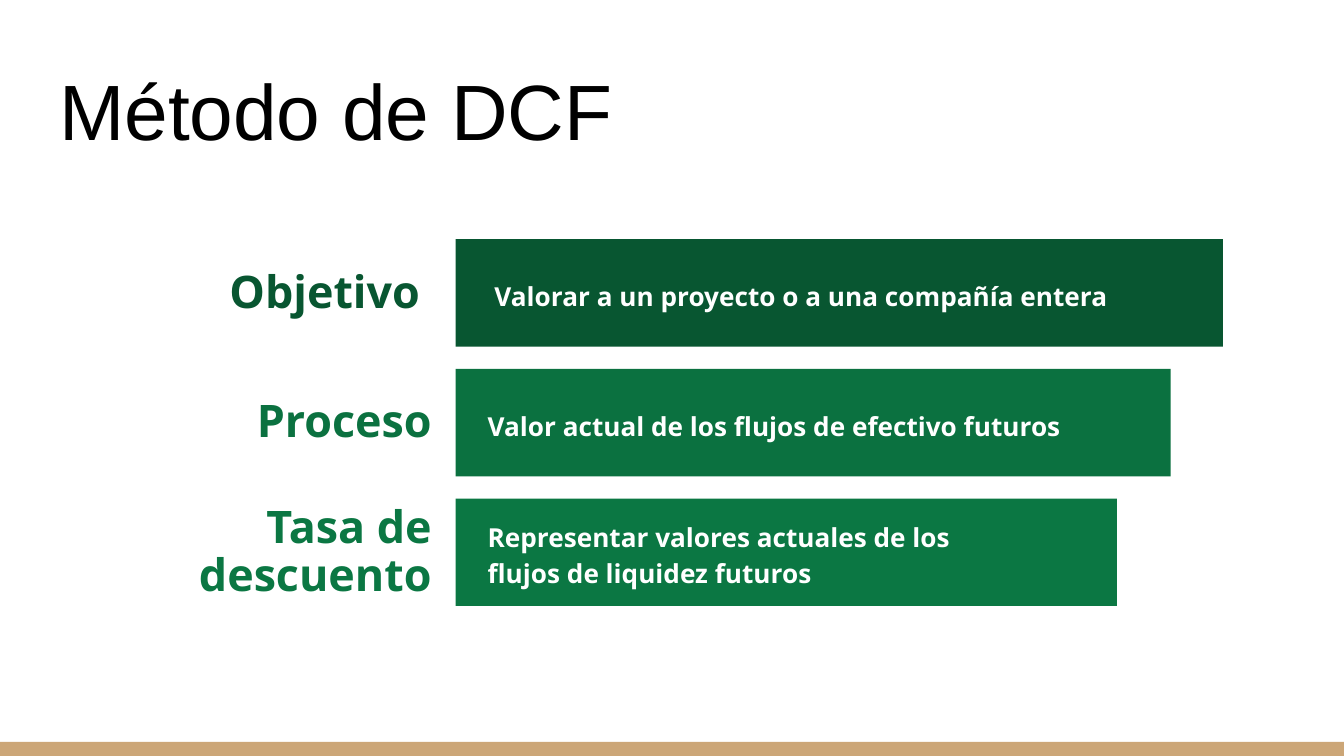
from dataclasses import dataclass

from pptx import Presentation
from pptx.dml.color import RGBColor as Rgb
from pptx.enum.shapes import MSO_SHAPE as Kind
from pptx.enum.text import MSO_ANCHOR as Anchor, MSO_AUTO_SIZE as Fit, PP_ALIGN as Align
from pptx.slide import Slide
from pptx.text.text import TextFrame as Frame
from pptx.util import Inches, Pt


@dataclass(frozen=True)
class Theme:
    """Colours, fonts and type sizes of the slide."""
    ink: str = "000000"
    paper: str = "FFFFFF"
    sand: str = "CCA677"
    head: str = "Arial"
    body: str = "Open Sans"
    big: int = 42
    mid: int = 24
    small: int = 14


@dataclass(frozen=True)
class Row:
    """One label with its bar and note; widths in inches."""
    label: str
    note: str
    color: str
    wide: float
    span: float


THEME = Theme()
ROWS = (
    Row("Objetivo ", " Valorar a un proyecto o a una compañía entera", "085631", 5.71, 5.21),
    Row("Proceso", "Valor actual de los flujos de efectivo futuros", "0B7140", 5.32, 4.78),
    Row("Tasa de descuento", "Representar valores actuales de los flujos de liquidez futuros",
        "0B7743", 4.92, 4.21),
)
TOP, LAST, TALL = 1.78, 3.71, 0.8
STEP = (LAST - TOP) / (len(ROWS) - 1)
EDGE, LEFT = 3.31, 3.39


def write(frame: Frame, text: str, *, size: int, color: str, font: str = THEME.body,
          bold: bool = True, align: Align = Align.LEFT, anchor: Anchor = Anchor.MIDDLE,
          lead: float = 1.0, pad: float = 0.05) -> None:
    """Fill a text frame with one formatted paragraph."""
    frame.word_wrap = True
    frame.auto_size = Fit.NONE
    frame.vertical_anchor = anchor
    frame.margin_left = frame.margin_right = Inches(0.1)
    frame.margin_top = frame.margin_bottom = Inches(pad)
    para = frame.paragraphs[0]
    para.alignment = align
    para.line_spacing = lead
    run = para.add_run()
    run.text = text
    run.font.name = font
    run.font.size = Pt(size)
    run.font.bold = bold
    run.font.color.rgb = Rgb.from_string(color)


def add_bar(slide: Slide, x: float, y: float, w: float, h: float, color: str) -> None:
    """Draw a plain filled rectangle."""
    bar = slide.shapes.add_shape(Kind.RECTANGLE, Inches(x), Inches(y), Inches(w), Inches(h))
    bar.shadow.inherit = False
    bar.fill.solid()
    bar.fill.fore_color.rgb = Rgb.from_string(color)
    bar.line.fill.background()


def add_text(slide: Slide, x: float, y: float, w: float, h: float) -> Frame:
    """Add a text box and return its frame."""
    return slide.shapes.add_textbox(Inches(x), Inches(y), Inches(w), Inches(h)).text_frame


def add_row(slide: Slide, row: Row, y: float) -> None:
    """Draw one label, bar and note."""
    wide = 2.97
    label = add_text(slide, EDGE - wide, y + 0.06, wide, 0.69)
    write(label, row.label, size=THEME.mid, color=row.color, align=Align.RIGHT, lead=0.9)
    add_bar(slide, LEFT, y, row.wide, TALL, row.color)
    note = add_text(slide, LEFT + 0.14, y + 0.09, row.span, 0.63)
    write(note, row.note, size=THEME.small, color=THEME.paper, lead=1.15)


def main() -> None:
    """Build and save the slide."""
    deck = Presentation()
    deck.slide_width = Inches(10)
    deck.slide_height = Inches(10 * 9 / 16)
    slide = deck.slides.add_slide(deck.slide_layouts[5])
    slide.background.fill.solid()
    slide.background.fill.fore_color.rgb = Rgb.from_string(THEME.paper)
    add_bar(slide, 0, 5.52, 10, 0.11, THEME.sand)
    title = slide.shapes.title
    title.left, title.top = Inches(0.34), Inches(0.35)
    title.width, title.height = Inches(9.32), Inches(0.91)
    write(title.text_frame, "Método de DCF", size=THEME.big, color=THEME.ink,
          font=THEME.head, bold=False, anchor=Anchor.BOTTOM, pad=0.1)
    for i, row in enumerate(ROWS):
        add_row(slide, row, TOP + i * STEP)
    deck.save("out.pptx")


if __name__ == "__main__":
    main()
